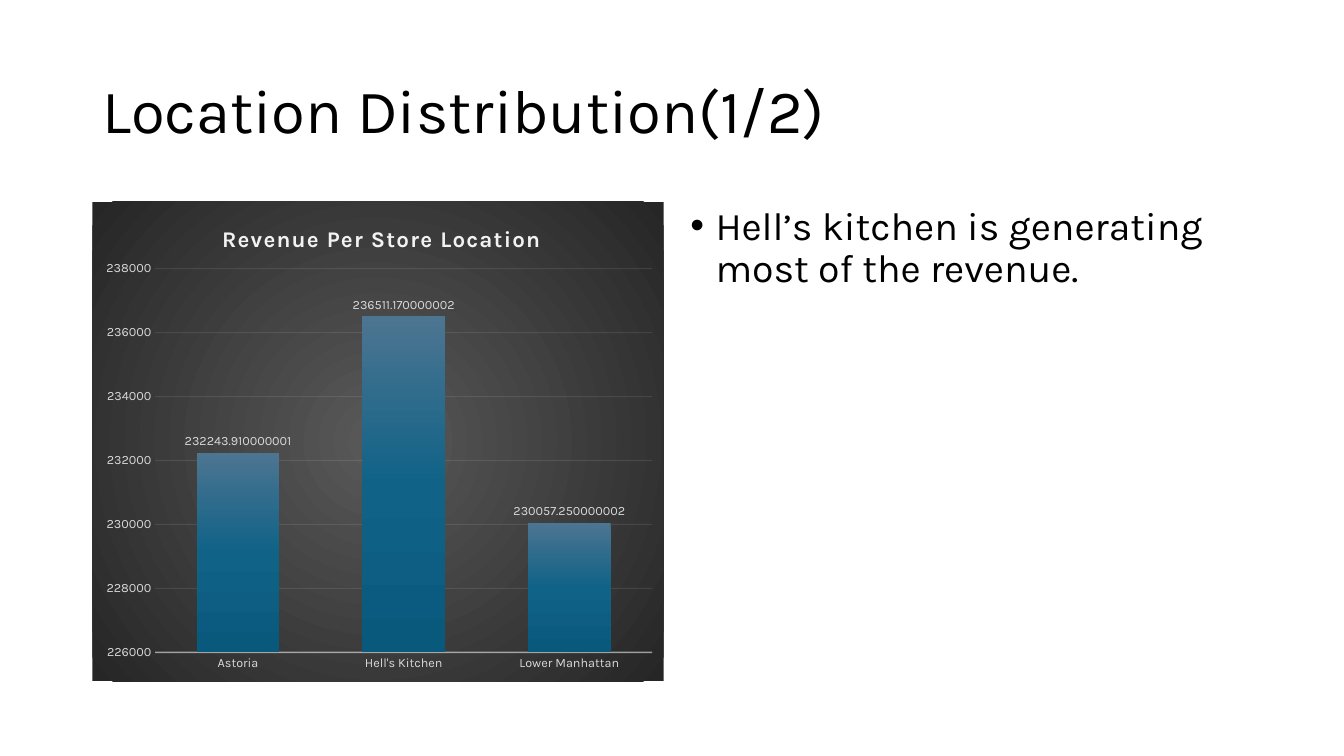
from dataclasses import dataclass
from typing import Any

from lxml.etree import SubElement as Sub
from pptx import Presentation as Deck
from pptx.chart.data import CategoryChartData as Data
from pptx.dml.color import RGBColor as Rgb
from pptx.enum.chart import XL_CHART_TYPE as Kind
from pptx.enum.chart import XL_LABEL_POSITION as Spot
from pptx.enum.chart import XL_TICK_MARK as Tick
from pptx.enum.text import MSO_ANCHOR as Anchor
from pptx.oxml.ns import qn
from pptx.util import Inches, Pt

WIDE, HIGH = Inches(13.33), Inches(7.5)
COLS, ROWS = 160, 90
FACE = "Karla"
BLACK = Rgb(0x00, 0x00, 0x00)
PALE = Rgb(0xF2, 0xF2, 0xF2)
GREY = Rgb(0xD9, 0xD9, 0xD9)
ASH = Rgb(0x59, 0x59, 0x59)
COAL = Rgb(0x26, 0x26, 0x26)
STEEL = Rgb(0x4C, 0x75, 0x91)
TEAL = Rgb(0x10, 0x62, 0x87)
NAVY = Rgb(0x09, 0x59, 0x7D)


@dataclass
class Box:
    col: float
    row: float
    cols: float
    rows: float

    def place(self) -> tuple[int, int, int, int]:
        return (
            int(WIDE * self.col / COLS),
            int(HIGH * self.row / ROWS),
            int(WIDE * self.cols / COLS),
            int(HIGH * self.rows / ROWS),
        )


@dataclass
class Note:
    box: Box
    text: str
    size: int
    frame: dict[str, Any]
    para: dict[str, Any]
    dot: bool = False


NOTES = [
    Note(Box(11, 4.8, 138, 17.4), "Location Distribution(1/2)", 44,
         {"vertical_anchor": Anchor.MIDDLE}, {"line_spacing": 0.9}),
    Note(Box(81, 24, 68, 57.1), "Hell’s kitchen is generating most of the revenue.", 28,
         {"vertical_anchor": Anchor.TOP},
         {"line_spacing": 0.9, "space_before": Pt(10)}, True),
]
GRAPH = Box(11, 24, 68, 57.1)
SALES = {
    "Astoria": 232243.910000001,
    "Hell's Kitchen": 236511.170000002,
    "Lower Manhattan": 230057.250000002,
}


def put(item: Any, vals: dict[str, Any]) -> None:
    for name, val in vals.items():
        setattr(item, name, val)


def style(font: Any, size: float, tint: Rgb, bold: bool = False) -> None:
    put(font, {"size": Pt(size), "name": FACE, "bold": bold})
    font.color.rgb = tint


def write(slide: Any, note: Note) -> None:
    frame = slide.shapes.add_textbox(*note.box.place()).text_frame
    put(frame, {"word_wrap": True, **note.frame})
    para = frame.paragraphs[0]
    put(para, note.para)
    run = para.add_run()
    run.text = note.text
    style(run.font, note.size, BLACK)
    if note.dot:
        props = para._p.get_or_add_pPr()
        put_in = Inches(0.25)
        props.set("marL", str(put_in))
        props.set("indent", str(-put_in))
        Sub(props, qn("a:buFont"), typeface="Arial")
        Sub(props, qn("a:buChar"), char="•")


def blend(home: Any, stops: dict[int, Rgb], round_: bool = False) -> None:
    grad = Sub(home, qn("a:gradFill"), rotWithShape="1")
    home.insert(0, grad)
    row = Sub(grad, qn("a:gsLst"))
    for pos, tint in stops.items():
        stop = Sub(row, qn("a:gs"), pos=str(pos * 1000))
        Sub(stop, qn("a:srgbClr"), val=str(tint))
    if round_:
        path = Sub(grad, qn("a:path"), {"path": "circle"})
        Sub(path, qn("a:fillToRect"), {side: "50000" for side in "ltrb"})
    else:
        Sub(grad, qn("a:lin"), ang="5400000", scaled="0")


def fix(home: Any, slot: int, parts: dict[str, Any]) -> None:
    for old in home.findall(qn("c:layout")):
        home.remove(old)
    plan = Sub(home, qn("c:layout"))
    home.insert(slot, plan)
    hand = Sub(plan, qn("c:manualLayout"))
    for name, val in parts.items():
        Sub(hand, qn(f"c:{name}"), val=str(val))


def rule(line: Any, width: float) -> None:
    line.width = Pt(width)
    line.color.rgb = PALE


def draw(slide: Any) -> None:
    data = Data()
    data.categories = list(SALES)
    data.add_series("Series 1", list(SALES.values()))
    chart = slide.shapes.add_chart(Kind.COLUMN_CLUSTERED, *GRAPH.place(), data).chart
    root = chart.element
    style(chart.font, 10, BLACK)
    put(chart, {"has_legend": False, "has_title": True})

    run = chart.chart_title.text_frame.paragraphs[0].add_run()
    run.text = "Revenue Per Store Location"
    style(run.font, 16, PALE, True)
    root.xpath(".//c:title//a:r/a:rPr")[0].set("spc", "100")

    base, scale = chart.category_axis, chart.value_axis
    for axis in (base, scale):
        put(axis, {"major_tick_mark": Tick.NONE, "minor_tick_mark": Tick.NONE})
        style(axis.tick_labels.font, 9, GREY)
    put(scale, {"minimum_scale": 226000, "maximum_scale": 238000,
                "major_unit": 2000, "has_major_gridlines": True})
    scale.format.line.fill.background()
    rule(base.format.line, 1)
    rule(scale.major_gridlines.format.line, 0.75)
    for where, share in {"c:catAx/c:spPr": 54, "c:majorGridlines": 10}.items():
        for tint in root.xpath(f".//{where}//a:srgbClr"):
            Sub(tint, qn("a:alpha"), val=str(share * 1000))

    plot = chart.plots[0]
    put(plot, {"gap_width": 100, "overlap": -24, "vary_by_categories": False})
    bars = plot.series[0]
    labels = bars.data_labels
    put(labels, {"show_value": True, "position": Spot.OUTSIDE_END,
                 "number_format": "General", "number_format_is_linked": False})
    style(labels.font, 9, GREY)

    blend(root.xpath(".//c:ser")[0].get_or_add_spPr(), {0: STEEL, 50: TEAL, 100: NAVY})
    panel = Sub(root, qn("c:spPr"))
    root.find(qn("c:chart")).addnext(panel)
    blend(panel, {0: ASH, 100: COAL}, True)
    Sub(Sub(panel, qn("a:ln")), qn("a:noFill"))

    edge = {"xMode": "edge", "yMode": "edge"}
    fix(root.xpath(".//c:title")[0], 1, {**edge, "x": 0.22, "y": 0.04})
    fix(root.xpath(".//c:plotArea")[0], 0,
        {"layoutTarget": "inner", **edge, "x": 0.11, "y": 0.14, "w": 0.87, "h": 0.8})


def main() -> None:
    deck = Deck()
    put(deck, {"slide_width": WIDE, "slide_height": HIGH})
    slide = deck.slides.add_slide(deck.slide_layouts[6])
    for note in NOTES:
        write(slide, note)
    draw(slide)
    deck.save("out.pptx")


if __name__ == "__main__":
    main()
